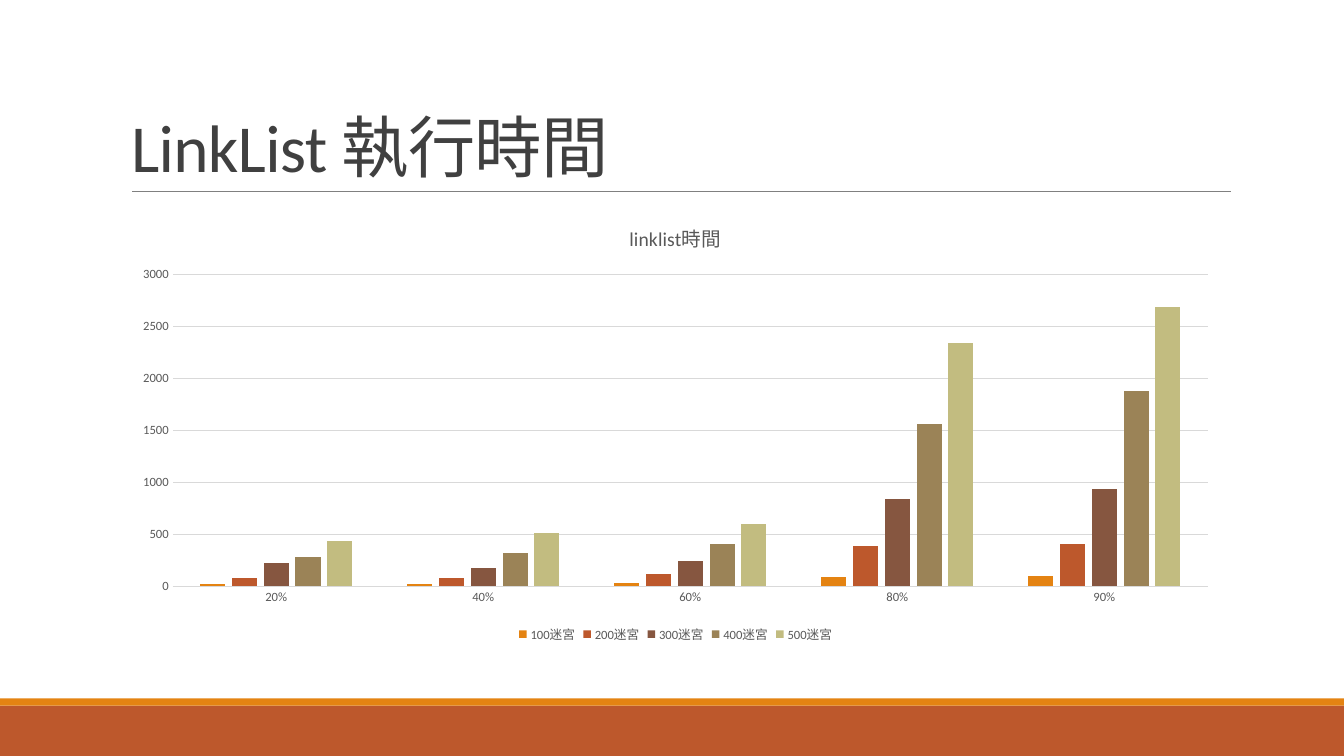
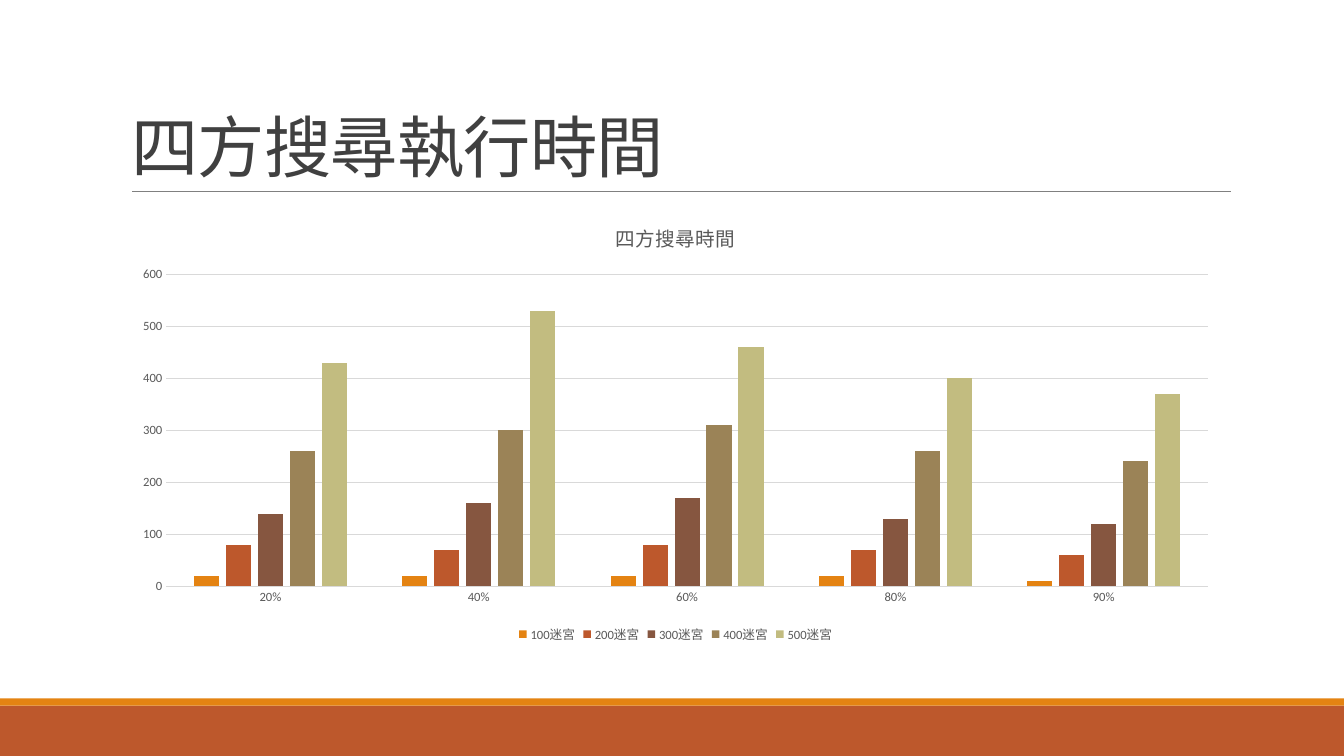
from pptx import Presentation
from pptx.chart.data import CategoryChartData
from pptx.dml.color import RGBColor
from pptx.enum.chart import XL_CHART_TYPE, XL_LEGEND_POSITION, XL_TICK_MARK
from pptx.enum.shapes import MSO_CONNECTOR, MSO_SHAPE
from pptx.enum.text import MSO_ANCHOR, MSO_AUTO_SIZE, PP_ALIGN
from pptx.oxml.ns import qn
from pptx.util import Inches, Pt
from lxml import etree

COLUMNS = XL_CHART_TYPE.COLUMN_CLUSTERED
BOTTOM_LEGEND = XL_LEGEND_POSITION.BOTTOM
NO_TICK = XL_TICK_MARK.NONE
STRAIGHT = MSO_CONNECTOR.STRAIGHT
RECTANGLE = MSO_SHAPE.RECTANGLE
ANCHOR_BOTTOM = MSO_ANCHOR.BOTTOM
NO_AUTOFIT = MSO_AUTO_SIZE.NONE
LEFT = PP_ALIGN.LEFT

ORANGE = RGBColor(0xE4, 0x83, 0x12)
RUST = RGBColor(0xBD, 0x58, 0x2C)
BROWN = RGBColor(0x86, 0x56, 0x40)
TAN = RGBColor(0x9B, 0x83, 0x57)
KHAKI = RGBColor(0xC2, 0xBC, 0x80)
TITLE_GRAY = RGBColor(0x40, 0x40, 0x40)
LABEL_GRAY = RGBColor(0x59, 0x59, 0x59)
RULE_GRAY = RGBColor(0x80, 0x80, 0x80)
GRID_GRAY = RGBColor(0xD9, 0xD9, 0xD9)
FONT = "Calibri"

WIDTH, HEIGHT = 13.33, 7.5
MARGIN, CONTENT_WIDTH = 1.2, 11
TITLE_TOP, RULE_TOP = 0.31, 1.9
RULE_LEFT, RULE_RIGHT = 1.31, 12.21
CHART_TOP, CHART_HEIGHT = 2.02, 4.4
BANDS = [(7, 0.5, RUST), (6.93, 0.07, ORANGE)]

DENSITIES = [0.2, 0.4, 0.6, 0.8, 0.9]
MAZES = [
    ("100迷宮", ORANGE),
    ("200迷宮", RUST),
    ("300迷宮", BROWN),
    ("400迷宮", TAN),
    ("500迷宮", KHAKI),
]
SLIDES = [
    ("LinkList 執行時間", "linklist時間", [
        (20, 20, 30, 90, 100),
        (80, 80, 120, 390, 410),
        (220, 180, 240, 840, 940),
        (280, 320, 410, 1560, 1880),
        (440, 510, 600, 2340, 2680),
    ]),
    ("四方搜尋執行時間", "四方搜尋時間", [
        (20, 20, 20, 20, 10),
        (80, 70, 80, 70, 60),
        (140, 160, 170, 130, 120),
        (260, 300, 310, 260, 240),
        (430, 530, 460, 400, 370),
    ]),
]


def style_font(font, size, color):
    font.name = FONT
    font.size = Pt(size)
    font.bold = False
    font.color.rgb = color


def style_line(line, color, width):
    line.color.rgb = color
    line.width = Pt(width)


def add_frame(page):
    for top, height, color in BANDS:
        band = page.shapes.add_shape(
            RECTANGLE, 0, Inches(top), Inches(WIDTH), Inches(height))
        band.shadow.inherit = False
        band.fill.solid()
        band.fill.fore_color.rgb = color
        band.line.fill.background()
    rule = page.shapes.add_connector(
        STRAIGHT, Inches(RULE_LEFT), Inches(RULE_TOP),
        Inches(RULE_RIGHT), Inches(RULE_TOP))
    style_line(rule.line, RULE_GRAY, 0.5)
    etree.SubElement(rule.element.spPr, qn("a:effectLst"))


def set_title(page, text):
    title = page.shapes.title
    title.left, title.top = Inches(MARGIN), Inches(TITLE_TOP)
    title.width, title.height = Inches(CONTENT_WIDTH), Inches(RULE_TOP - TITLE_TOP)
    frame = title.text_frame
    frame.text = text
    frame.word_wrap = True
    frame.auto_size = NO_AUTOFIT
    frame.vertical_anchor = ANCHOR_BOTTOM
    para = frame.paragraphs[0]
    para.alignment = LEFT
    para.line_spacing = 0.85
    style_font(para.font, 48, TITLE_GRAY)
    para.runs[0].font.size = Pt(48)
    para.runs[0].font._element.set("spc", "-50")


def style_axes(chart):
    for axis in (chart.category_axis, chart.value_axis):
        axis.major_tick_mark = axis.minor_tick_mark = NO_TICK
        style_font(axis.tick_labels.font, 9, LABEL_GRAY)
    labels = chart.category_axis.tick_labels
    labels.number_format = "0%"
    labels.number_format_is_linked = False
    style_line(chart.category_axis.format.line, GRID_GRAY, 0.75)
    chart.value_axis.format.line.fill.background()
    style_line(chart.value_axis.major_gridlines.format.line, GRID_GRAY, 0.75)


def add_time_chart(page, heading, rows):
    data = CategoryChartData()
    data.categories = DENSITIES
    data.categories.number_format = "0%"
    for (name, color), values in zip(MAZES, rows):
        data.add_series(name, values)
    chart = page.shapes.add_chart(
        COLUMNS, Inches(MARGIN), Inches(CHART_TOP),
        Inches(CONTENT_WIDTH), Inches(CHART_HEIGHT), data).chart
    chart.font.name = FONT
    chart.font.size = Pt(10)

    chart.has_title = True
    chart.chart_title.include_in_layout = False
    frame = chart.chart_title.text_frame
    frame.text = heading
    style_font(frame.paragraphs[0].font, 14, LABEL_GRAY)

    chart.has_legend = True
    chart.legend.position = BOTTOM_LEGEND
    chart.legend.include_in_layout = False
    style_font(chart.legend.font, 9, LABEL_GRAY)
    style_axes(chart)

    plot = chart.plots[0]
    plot.gap_width = 219
    plot.overlap = -27
    plot.vary_by_categories = False
    for series, (name, color) in zip(plot.series, MAZES):
        series.format.fill.solid()
        series.format.fill.fore_color.rgb = color


def main():
    deck = Presentation()
    deck.slide_width, deck.slide_height = Inches(WIDTH), Inches(HEIGHT)
    title_only = deck.slide_layouts[5]
    for title, heading, rows in SLIDES:
        page = deck.slides.add_slide(title_only)
        add_frame(page)
        set_title(page, title)
        add_time_chart(page, heading, rows)
    deck.save("out.pptx")


if __name__ == "__main__":
    main()
